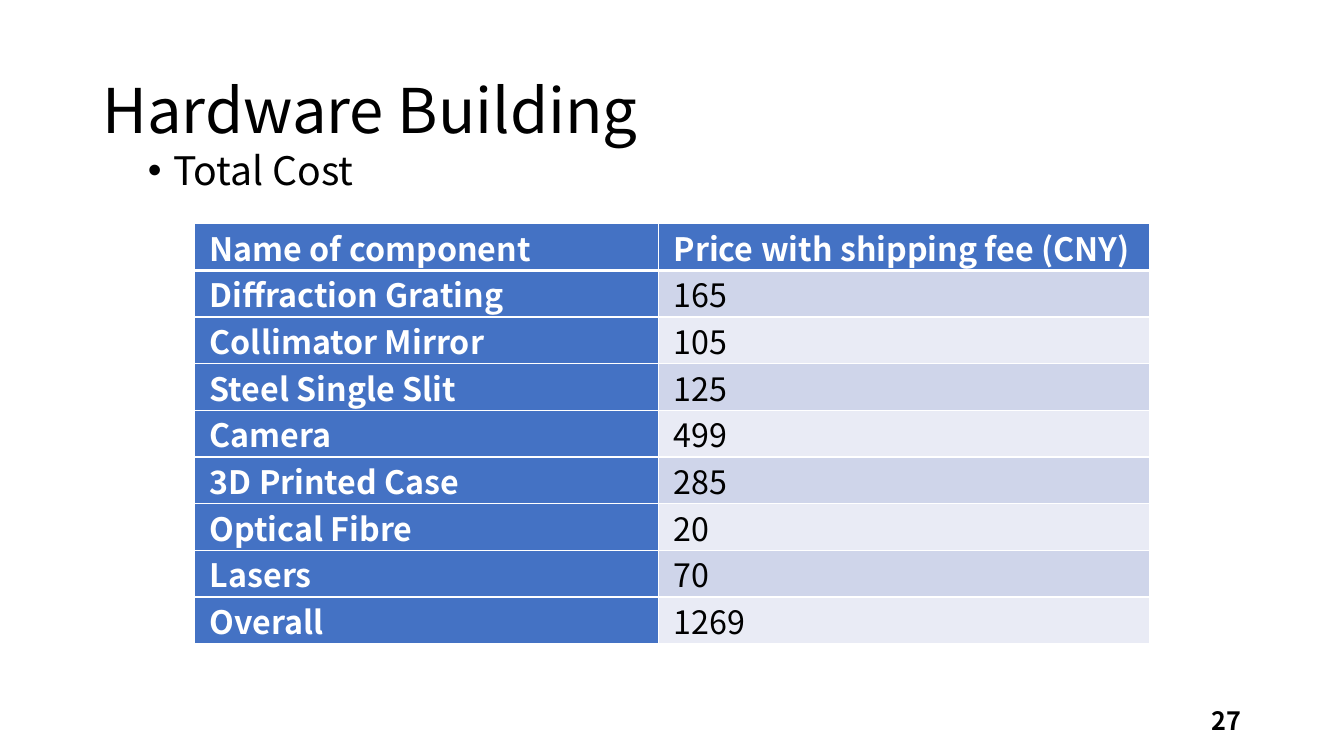
from lxml import etree
from pptx import Presentation
from pptx.dml.color import RGBColor
from pptx.enum.text import MSO_ANCHOR, PP_ALIGN
from pptx.oxml.ns import qn
from pptx.util import Pt

MIDDLE, TOP = MSO_ANCHOR.MIDDLE, MSO_ANCHOR.TOP
LEFT, RIGHT = PP_ALIGN.LEFT, PP_ALIGN.RIGHT

BLACK = RGBColor(0x00, 0x00, 0x00)
WHITE = RGBColor(0xFF, 0xFF, 0xFF)
BLUE = RGBColor(0x44, 0x72, 0xC4)
BANDS = (RGBColor(0xCF, 0xD5, 0xEA), RGBColor(0xE9, 0xEB, 0xF5))

COSTS = [
    ("Name of component", "Price with shipping fee (CNY)"),
    ("Diffraction Grating", "165"),
    ("Collimator Mirror", "105"),
    ("Steel Single Slit", "125"),
    ("Camera", "499"),
    ("3D Printed Case", "285"),
    ("Optical Fibre", "20"),
    ("Lasers", "70"),
    ("Overall", "1269"),
]


def apply(target, values):
    for name, value in values.items():
        setattr(target, name, value)


class Deck:
    face = "Noto Sans CJK SC"

    def __init__(self, width, height):
        self.show = Presentation()
        apply(self.show, {"slide_width": Pt(width), "slide_height": Pt(height)})
        self.slide = self.show.slides.add_slide(self.show.slide_layouts[6])

    def style(self, para, size, color=BLACK, bold=False):
        apply(para.font, {"name": self.face, "size": Pt(size), "bold": bold})
        para.font.color.rgb = color

    def text(self, words, box, size, bold=False, anchor=MIDDLE, align=LEFT,
             line=1.0, bullet=False):
        frame = self.slide.shapes.add_textbox(*map(Pt, box)).text_frame
        apply(frame, {"word_wrap": True, "vertical_anchor": anchor})
        para = frame.paragraphs[0]
        para.text = words
        if bullet:
            self.bullet(para)
        apply(para, {"alignment": align, "line_spacing": line})
        self.style(para, size, bold=bold)

    def bullet(self, para):
        props = para._p.get_or_add_pPr()
        props.set("marL", str(Pt(18)))
        props.set("indent", str(Pt(-18)))
        etree.SubElement(props, qn("a:buFont"), typeface="Arial")
        etree.SubElement(props, qn("a:buChar"), char="•")

    def border(self, cell, head):
        """Draw white cell edges, with a thicker one below the header row."""
        props = cell._tc.get_or_add_tcPr()
        for side in "LRTB":
            width = 3 if head and side == "B" else 1
            edge = etree.SubElement(props, qn("a:ln" + side), w=str(Pt(width)))
            fill = etree.SubElement(edge, qn("a:solidFill"))
            etree.SubElement(fill, qn("a:srgbClr"), val=str(WHITE))

    def table(self, data, left, top, widths, height):
        shape = self.slide.shapes.add_table(
            len(data), len(widths), Pt(left), Pt(top),
            Pt(sum(widths)), Pt(height * len(data)))
        grid = shape.table
        for col, width in zip(grid.columns, widths):
            col.width = Pt(width)
        for r, row in enumerate(data):
            grid.rows[r].height = Pt(height)
            for c, words in enumerate(row):
                self.cell(grid.cell(r, c), words, r, c)

    def cell(self, cell, words, r, c):
        label = r == 0 or c == 0
        apply(cell, {"margin_left": Pt(10.8), "margin_right": Pt(10.8),
                     "margin_top": 0, "margin_bottom": 0})
        self.border(cell, r == 0)
        cell.fill.solid()
        cell.fill.fore_color.rgb = BLUE if label else BANDS[(r - 1) % 2]
        cell.text = words
        self.style(cell.text_frame.paragraphs[0], 23,
                   WHITE if label else BLACK, label)


def main():
    deck = Deck(960, 540)
    deck.text("Hardware Building", (66, 28.8, 828, 104.4), 44, line=0.9)
    deck.text("Total Cost", (98.6, 104.8, 408.2, 342.7), 28,
              anchor=TOP, line=0.9, bullet=True)
    deck.table(COSTS, 139, 159.8, (331.4, 350.4), 33.35)
    deck.text("27", (678, 500.5, 216, 28.8), 18, bold=True, align=RIGHT)
    deck.show.save("out.pptx")


if __name__ == "__main__":
    main()
